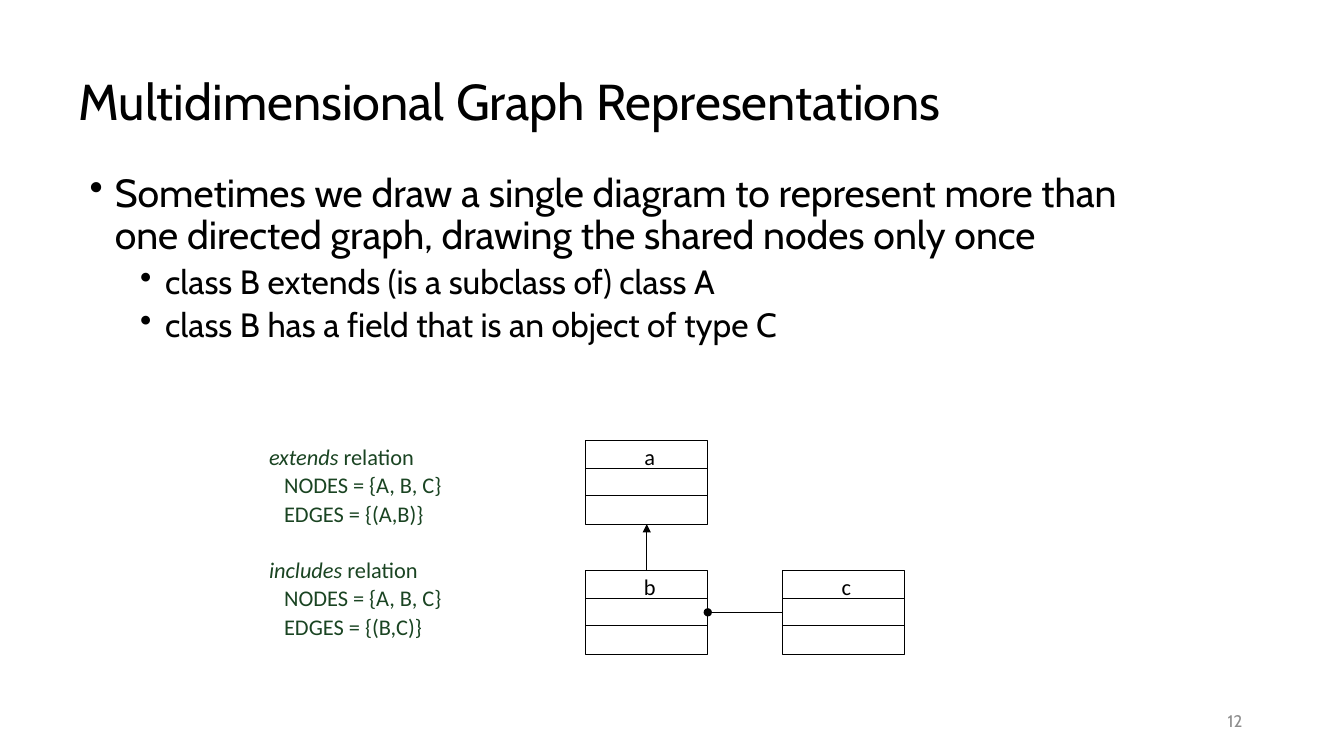
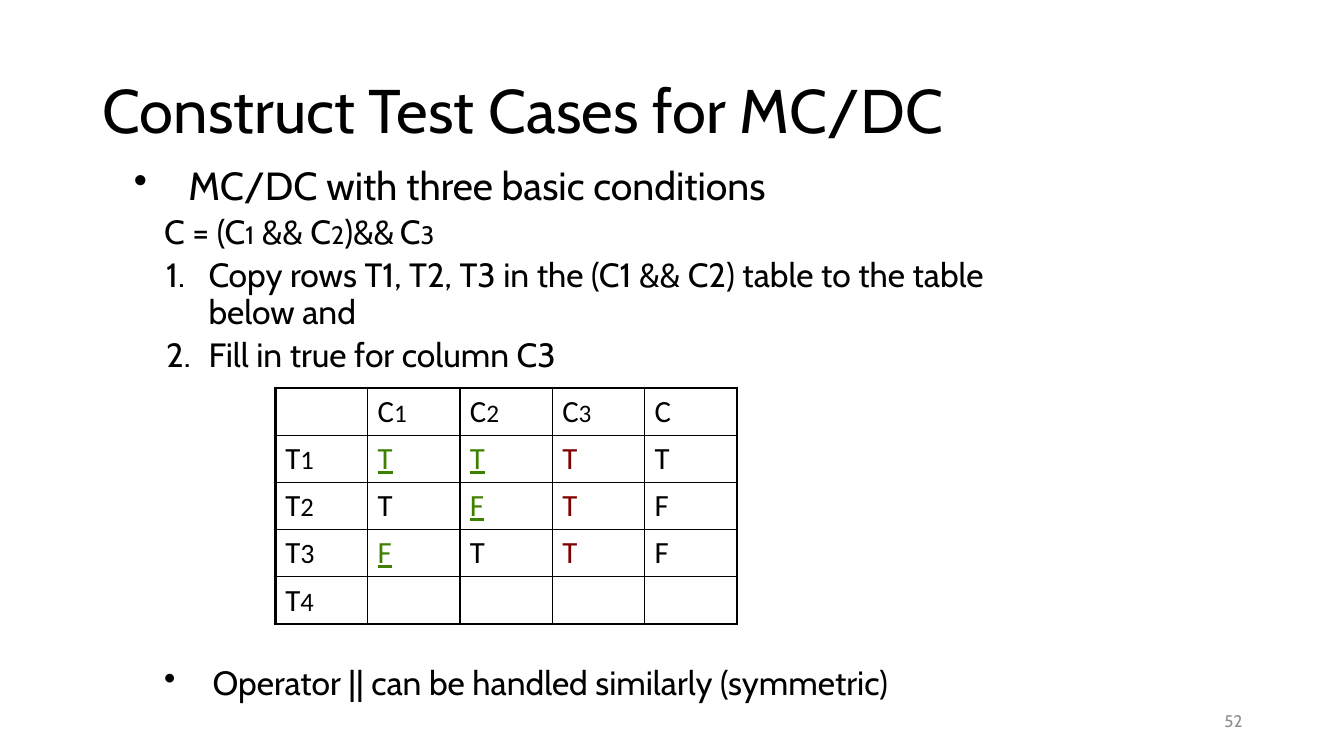
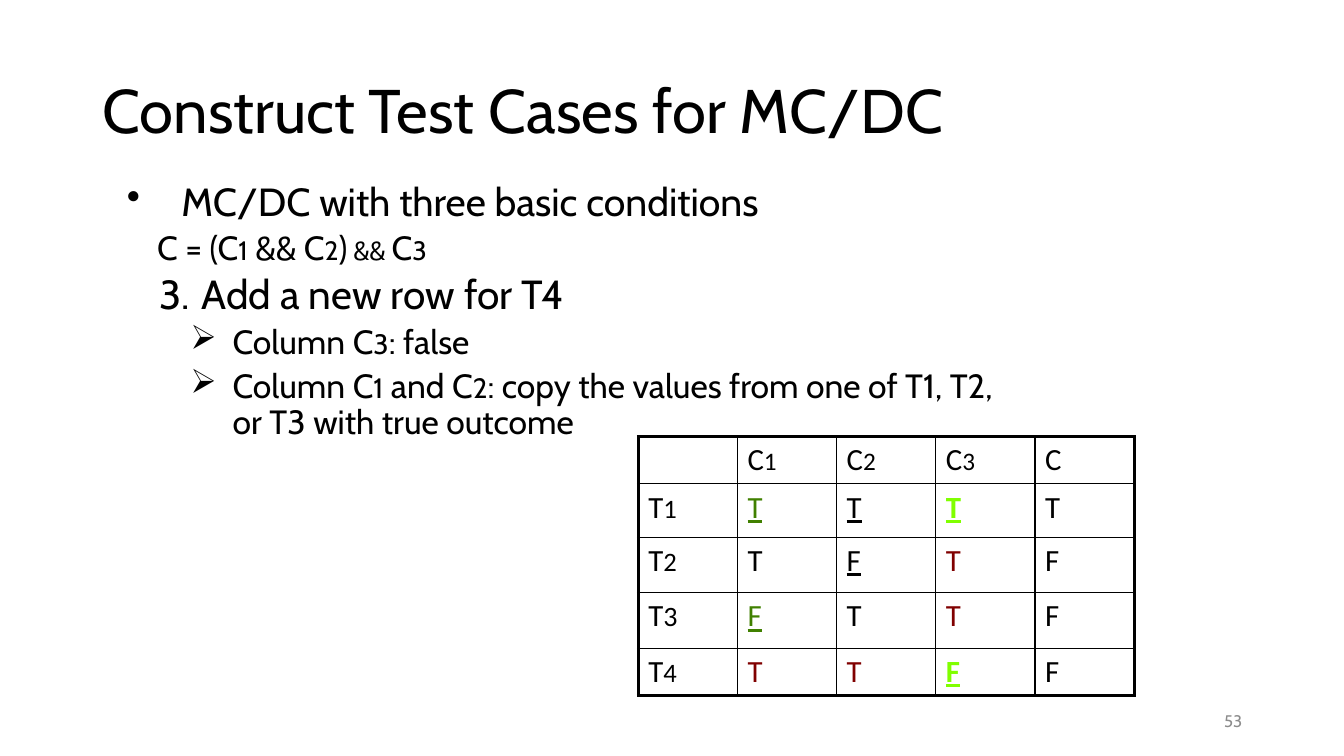
"""Build three slides on graph diagrams and MC/DC test cases."""
import dataclasses
import itertools
import typing

import lxml.etree
import pptx
import pptx.dml.color
import pptx.enum.shapes
import pptx.enum.text
import pptx.oxml.ns
import pptx.util

EMU_PER_PX = 9144
ANCHOR = pptx.enum.text.MSO_ANCHOR
ALIGN = pptx.enum.text.PP_ALIGN


@dataclasses.dataclass(frozen=True)
class Theme:
    """Colours, fonts, type sizes and line widths of the deck."""
    ink: str = "000000"
    relation: str = "1A4422"
    muted: str = "8C8C8C"
    green: str = "408000"
    lime: str = "80FF00"
    red: str = "800000"
    main_font: str = "Cabin"
    detail_font: str = "Calibri"
    title: int = 44
    long_title: int = 36
    lead: int = 28
    step: int = 29
    item: int = 24
    cell: int = 22
    label: int = 16
    number: int = 12
    thin: float = 0.75
    grid: float = 1
    frame: float = 2.25


THEME = Theme()


class Area(typing.NamedTuple):
    """A rectangle in px."""
    left: int
    top: int
    width: int
    height: int


@dataclasses.dataclass(frozen=True)
class Span:
    """A run of text, with only what differs from its paragraph."""
    text: str
    size: int | None = None
    italic: bool | None = None


@dataclasses.dataclass(frozen=True)
class Para:
    """A paragraph with its type, indents and bullet."""
    spans: tuple[Span, ...]
    size: int
    font: str = THEME.main_font
    color: str = THEME.ink
    bold: bool = False
    underline: bool = False
    align: typing.Any = ALIGN.LEFT
    level: int = 0
    margin: int = 0
    hang: int = 0
    before: int = 0
    spacing: float = 0.9
    bullet: str = ""
    number_from: int = 0


@dataclasses.dataclass(frozen=True)
class Value:
    """A truth value and how it is marked."""
    text: str
    color: str = THEME.ink
    bold: bool = False
    underline: bool = False


class Label(typing.NamedTuple):
    """A letter with an optional index in smaller type."""
    letter: str
    index: str = ""
    index_size: int = 19


@dataclasses.dataclass(frozen=True)
class TruthTable:
    """A truth table: its place, row heights and rows of values."""
    area: Area
    heights: tuple[int, ...]
    rows: tuple[tuple[Value, ...], ...]


def px(length: int) -> int:
    """Turn px into EMU."""
    return pptx.util.Emu(length * EMU_PER_PX)


def rgb(color: str) -> typing.Any:
    """Turn a hex string into a colour."""
    return pptx.dml.color.RGBColor.from_string(color)


def add_child(parent: typing.Any, tag: str, **attributes: str) -> typing.Any:
    """Append a DrawingML element."""
    return lxml.etree.SubElement(parent, pptx.oxml.ns.qn(tag), attributes)


def spans(*texts: str) -> tuple[Span, ...]:
    """Make plain spans."""
    return tuple(Span(text) for text in texts)


def indexed(small: int, *texts: str) -> tuple[Span, ...]:
    """Make spans that alternate between normal and small type."""
    sizes = itertools.cycle((None, small))
    return tuple(Span(text, size) for text, size in zip(texts, sizes))


def write(frame: typing.Any, paras: typing.Sequence[Para]) -> None:
    """Write paragraphs into a text frame."""
    for position, source in enumerate(paras):
        para = frame.add_paragraph() if position else frame.paragraphs[0]
        para.level = source.level
        para.alignment = source.align
        para.line_spacing = source.spacing
        para.space_before = pptx.util.Pt(source.before if position else 0)
        properties = para._p.get_or_add_pPr()
        properties.set("marL", str(px(source.margin)))
        properties.set("indent", str(px(-source.hang)))
        if source.number_from:
            add_child(properties, "a:buAutoNum", type="arabicPeriod", startAt=str(source.number_from))
        elif source.bullet:
            add_child(properties, "a:buChar", char=source.bullet)
        else:
            add_child(properties, "a:buNone")
        font = para.font
        font.name, font.size = source.font, pptx.util.Pt(source.size)
        font.bold, font.underline = source.bold, source.underline
        font.color.rgb = rgb(source.color)
        for piece in source.spans:
            span = para.add_run()
            span.text = piece.text
            if piece.size:
                span.font.size = pptx.util.Pt(piece.size)
            if piece.italic:
                span.font.italic = True


def add_text(page: typing.Any, area: Area, paras: typing.Sequence[Para],
             anchor: typing.Any = ANCHOR.TOP) -> None:
    """Add a wrapping text box."""
    box = page.shapes.add_textbox(*map(px, area))
    box.text_frame.word_wrap = True
    box.text_frame.vertical_anchor = anchor
    write(box.text_frame, paras)


def add_page(deck: typing.Any, title: str, number: int, size: int = THEME.title,
             area: Area = Area(92, 40, 1150, 145)) -> typing.Any:
    """Add a blank page with its title and page number."""
    page = deck.slides.add_slide(deck.slide_layouts[6])
    add_text(page, area, [Para(spans(title), size)], ANCHOR.MIDDLE)
    folio = Para(spans(str(number)), THEME.number, color=THEME.muted, align=ALIGN.RIGHT, spacing=1.0)
    add_text(page, Area(942, 695, 300, 40), [folio], ANCHOR.MIDDLE)
    return page


def add_line(page: typing.Any, start: tuple[int, int], end: tuple[int, int], tail: str = "") -> typing.Any:
    """Add a thin straight line, with an optional mark at its end."""
    line = page.shapes.add_connector(pptx.enum.shapes.MSO_CONNECTOR.STRAIGHT, *map(px, start + end))
    line.line.color.rgb = rgb(THEME.ink)
    line.line.width = pptx.util.Pt(THEME.thin)
    properties = line._element.spPr
    if tail:
        add_child(properties.find(pptx.oxml.ns.qn("a:ln")), "a:tailEnd", type=tail)
    add_child(properties, "a:effectLst")
    return line


def add_class(page: typing.Any, name: str, left: int, top: int) -> typing.Any:
    """Add a class box with three compartments and its name on top."""
    width, height, compartments = 121, 83, 3
    box = page.shapes.add_shape(pptx.enum.shapes.MSO_SHAPE.RECTANGLE, *map(px, (left, top, width, height)))
    box.shadow.inherit = False
    box.fill.background()
    box.line.color.rgb = rgb(THEME.ink)
    box.line.width = pptx.util.Pt(THEME.thin)
    frame = box.text_frame
    frame.vertical_anchor = ANCHOR.TOP
    frame.margin_left, frame.margin_top, frame.margin_right = px(6), px(3), px(0)
    write(frame, [Para(spans(name), THEME.label, THEME.detail_font, align=ALIGN.CENTER, spacing=1.0)])
    for part in range(1, compartments):
        level = top + round(height * part / compartments)
        add_line(page, (left, level), (left + width, level))
    return box


def join(page: typing.Any, source: typing.Any, source_side: int,
         target: typing.Any, target_side: int, tail: str) -> None:
    """Join two class boxes with a marked line."""
    line = add_line(page, (0, 0), (0, 0), tail)
    line.begin_connect(source, source_side)
    line.end_connect(target, target_side)


def cell_para(text: tuple[Span, ...], value: Value = Value("")) -> Para:
    """Make the paragraph of a table cell."""
    return Para(text, THEME.cell, THEME.detail_font, value.color, value.bold, value.underline, spacing=1.0)


def add_border(cell: typing.Any, side: str, width: float) -> None:
    """Draw one border of a cell."""
    line = add_child(cell._tc.get_or_add_tcPr(), f"a:ln{side}", w=str(pptx.util.Pt(width)))
    add_child(add_child(line, "a:solidFill"), "a:srgbClr", val=THEME.ink)


def add_truth_table(page: typing.Any, source: TruthTable) -> None:
    """Add a truth table with labelled rows and columns."""
    heads = [Label("C", index, 18) for index in "123"] + [Label("C")]
    sides = [Label("T", "1"), Label("T", "2"), Label("T", "3", 20), Label("T", "4")]
    row_count, column_count = len(sides) + 1, len(heads) + 1
    table = page.shapes.add_table(row_count, column_count, *map(px, source.area)).table
    table.first_row = table.horz_banding = False
    for row, height in zip(table.rows, source.heights):
        row.height = px(height)
    for row, column in itertools.product(range(row_count), range(column_count)):
        cell = table.cell(row, column)
        edges = {"L": column == 0, "R": column == column_count - 1, "T": row == 0, "B": row == row_count - 1}
        for side, outer in edges.items():
            add_border(cell, side, THEME.frame if outer else THEME.grid)
        cell.fill.background()
        if row and column:
            values = source.rows[row - 1]
            if values:
                value = values[column - 1]
                write(cell.text_frame, [cell_para(spans(value.text), value)])
        elif row or column:
            label = sides[row - 1] if row else heads[column - 1]
            texts = (label.letter, label.index) if label.index else (label.letter,)
            write(cell.text_frame, [cell_para(indexed(label.index_size, *texts))])


def lead(text: str, indent: int) -> Para:
    """Make a first-level bullet."""
    return Para(spans(text), THEME.lead, margin=indent, hang=indent, before=10, bullet="•")


def item(text: tuple[Span, ...], margin: int, hang: int, bullet: str = "", level: int = 1,
         number_from: int = 0, size: int = THEME.item) -> Para:
    """Make a lower-level paragraph."""
    return Para(text, size, level=level, margin=margin, hang=hang, before=5,
                bullet=bullet, number_from=number_from)


def relation(name: str, edges: str, before: int) -> list[Para]:
    """Describe one relation by its nodes and edges."""
    def line(text: tuple[Span, ...], margin: int, gap: int) -> Para:
        """Make one line of the description."""
        return Para(text, THEME.label, THEME.detail_font, THEME.relation, margin=margin, before=gap)

    return [line((Span(name, italic=True), Span(" relation")), 0, before),
            line(spans("NODES = {A, B, C}"), 15, 3),
            line(spans(f"EDGES = {{{edges}}}"), 15, 3)]


def build_graph_page(deck: typing.Any) -> None:
    """Build the page on multidimensional graphs."""
    page = add_page(deck, "Multidimensional Graph Representations", 12,
                    THEME.long_title, Area(68, 43, 967, 120))
    add_text(page, Area(79, 167, 1039, 225), [
        lead("Sometimes we draw a single diagram to represent more than one directed graph, "
             "drawing the shared nodes only once", 25),
        item(spans("class B extends (is a subclass of) class A"), 75, 25, "•"),
        item(spans("class B has a field that is an object of type C"), 75, 25, "•"),
    ])
    add_text(page, Area(257, 428, 194, 212),
             relation("extends", "(A,B)", 0) + relation("includes", "(B,C)", 23), ANCHOR.BOTTOM)
    parent = add_class(page, "a", 581, 437)
    child = add_class(page, "b", 581, 566)
    field = add_class(page, "c", 776, 566)
    join(page, child, 0, parent, 2, "triangle")
    join(page, field, 1, child, 3, "oval")


def build_case_pages(deck: typing.Any) -> None:
    """Build the two pages on MC/DC test cases."""
    title = "Construct Test Cases for MC/DC"
    topic = lead("MC/DC with three basic conditions", 54)
    true, false = Value("T"), Value("F")
    green_true, green_false = (Value(text, THEME.green, underline=True) for text in "TF")
    lime_true, lime_false = (Value(text, THEME.lime, True, True) for text in "TF")
    lined_true, lined_false = (Value(text, underline=True) for text in "TF")
    red_true = Value("T", THEME.red)

    page = add_page(deck, title, 52)
    add_text(page, Area(123, 160, 900, 220), [
        topic,
        item(indexed(18, "C = (C", "1", " && C", "2", ")&&", " ", "C", "3"), 30, 0),
        item(spans("Copy rows T1, T2, T3 in the (C1 && C2) table to the table below and"), 74, 42, number_from=1),
        item(spans("Fill in true for column C3"), 74, 42, number_from=1),
    ])
    add_truth_table(page, TruthTable(Area(273, 385, 458, 235), (45, 46, 47, 47, 45), (
        (green_true, green_true, red_true, true),
        (true, green_false, red_true, false),
        (green_false, true, red_true, false),
        (),
    )))
    add_text(page, Area(123, 656, 900, 50),
             [item(spans("Operator || can be handled similarly (symmetric)"), 78, 48, "•")])

    page = add_page(deck, title, 53)
    add_text(page, Area(116, 176, 900, 270), [
        topic,
        item(indexed(19, "C = (C", "1", " && C", "2", ")", " && ", "C", "3"), 30, 0),
        item(spans("Add a new row for T4"), 74, 42, number_from=3, size=THEME.step),
        item(indexed(20, "Column C", "3", ": false"), 105, 42, "➢", 2),
        item(indexed(20, "Column C", "1", " and C", "2",
                     ": copy the values from one of T1, T2, or T3 with true outcome"), 105, 42, "➢", 2),
    ])
    add_truth_table(page, TruthTable(Area(633, 433, 492, 256), (47, 53, 55, 55, 47), (
        (green_true, lined_true, lime_true, true),
        (true, lined_false, red_true, false),
        (green_false, true, red_true, false),
        (red_true, red_true, lime_false, false),
    )))


def main() -> None:
    """Build and save the deck."""
    deck = pptx.Presentation()
    deck.slide_width, deck.slide_height = px(1333), px(750)
    build_graph_page(deck)
    build_case_pages(deck)
    deck.save("out.pptx")


if __name__ == "__main__":
    main()
